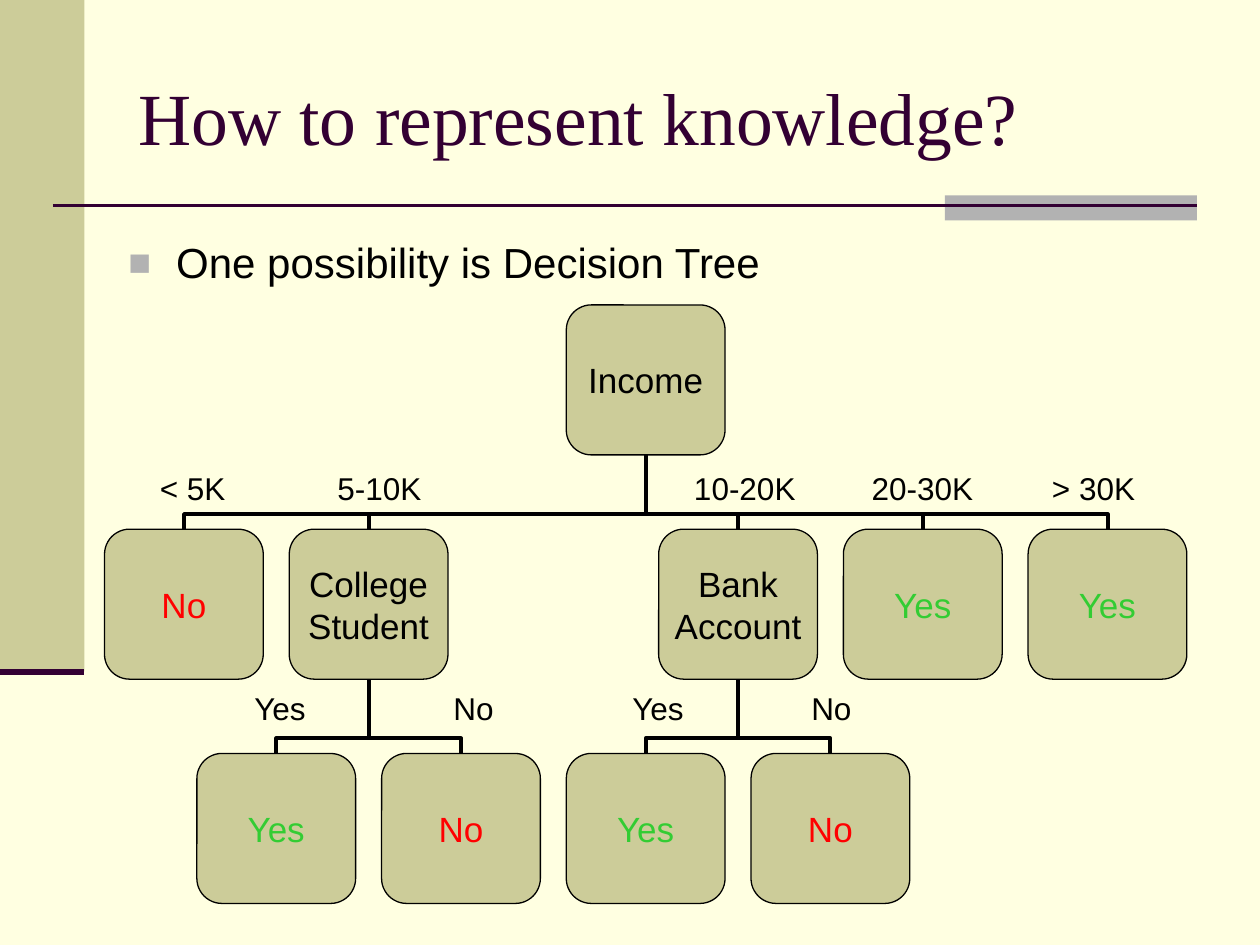
from dataclasses import dataclass
from typing import Any, Optional

import pptx
import pptx.dml.color
import pptx.enum.shapes
import pptx.enum.text
import pptx.oxml
import pptx.oxml.ns
import pptx.util

Inches = pptx.util.Inches
Pt = pptx.util.Pt
RGBColor = pptx.dml.color.RGBColor
KIND = pptx.enum.shapes.MSO_SHAPE
LINK = pptx.enum.shapes.MSO_CONNECTOR
ALIGN = pptx.enum.text.PP_ALIGN
ANCHOR = pptx.enum.text.MSO_ANCHOR
FIT = pptx.enum.text.MSO_AUTO_SIZE

CREAM = RGBColor(0xFF, 0xFF, 0xE1)
KHAKI = RGBColor(0xCC, 0xCC, 0x99)
GRAY = RGBColor(0xB2, 0xB2, 0xB2)
PLUM = RGBColor(0x33, 0x00, 0x33)
BLACK = RGBColor(0x00, 0x00, 0x00)
RED = RGBColor(0xFF, 0x00, 0x00)
GREEN = RGBColor(0x33, 0xCC, 0x33)
ANSWER = {"Yes": GREEN, "No": RED}

# Tree grid, in inches
LEFT, TOP = 0.83, 2.42
RIGHT = 8.16
STEP_X, STEP_Y = (RIGHT - LEFT) / 5, 1.78
NODE_W, NODE_H = 1.26, 1.19
BEND = 20300

NODE_FRAME = {"margin_left": 0, "margin_right": 0, "margin_top": 0, "margin_bottom": 0,
              "word_wrap": False, "vertical_anchor": ANCHOR.MIDDLE}
LABEL_FRAME = {"word_wrap": False, "auto_size": FIT.SHAPE_TO_FIT_TEXT}


@dataclass
class Node:
    text: str
    col: float
    row: int
    root: Optional[int] = None


@dataclass
class Label:
    text: str
    x: float
    y: float
    wide: float


NODES = [
    Node("Income", 2.5, 0),
    Node("No", 0, 1, 0),
    Node("College\nStudent", 1, 1, 0),
    Node("Bank\nAccount", 3, 1, 0),
    Node("Yes", 4, 1, 0),
    Node("Yes", 5, 1, 0),
    Node("Yes", 0.5, 2, 2),
    Node("No", 1.5, 2, 2),
    Node("Yes", 2.5, 2, 3),
    Node("No", 3.5, 2, 3),
]
LABELS = [
    Label("< 5K", 1.17, 3.67, 0.74),
    Label("5-10K", 2.58, 3.67, 0.9),
    Label("10-20K", 5.41, 3.67, 1.04),
    Label("20-30K", 6.82, 3.67, 1.04),
    Label("> 30K", 8.25, 3.67, 0.88),
    Label("Yes", 1.92, 5.42, 0.63),
    Label("No", 3.5, 5.42, 0.52),
    Label("Yes", 4.92, 5.42, 0.63),
    Label("No", 6.34, 5.42, 0.52),
]


def put(item: Any, form: dict) -> None:
    for name, value in form.items():
        setattr(item, name, value)


def write(shape: Any, text: str, size: float, color: RGBColor, frame: dict,
          face: str = "Arial", align: Any = ALIGN.LEFT) -> None:
    body = shape.text_frame
    body.text = text
    put(body, frame)
    for para in body.paragraphs:
        para.alignment = align
        font = para.runs[0].font
        put(font, {"size": Pt(size), "name": face})
        font.color.rgb = color


def add_text(slide: Any, x: float, y: float, w: float, h: float) -> Any:
    return slide.shapes.add_textbox(Inches(x), Inches(y), Inches(w), Inches(h))


def add_box(slide: Any, kind: Any, x: float, y: float, w: float, h: float,
            fill: RGBColor) -> Any:
    box = slide.shapes.add_shape(kind, Inches(x), Inches(y), Inches(w), Inches(h))
    box.shadow.inherit = False
    box.fill.solid()
    box.fill.fore_color.rgb = fill
    box.line.fill.background()
    return box


def add_line(slide: Any, kind: Any, x1: float, y1: float, x2: float, y2: float,
             color: RGBColor, width: float) -> Any:
    line = slide.shapes.add_connector(kind, Inches(x1), Inches(y1), Inches(x2), Inches(y2))
    line.line.color.rgb = color
    line.line.width = Pt(width)
    line._element.spPr.append(pptx.oxml.parse_xml(
        f"<a:effectLst {pptx.oxml.ns.nsdecls('a')}/>"))
    return line


def add_node(slide: Any, node: Node) -> Any:
    box = add_box(slide, KIND.ROUNDED_RECTANGLE, LEFT + node.col * STEP_X,
                  TOP + node.row * STEP_Y, NODE_W, NODE_H, KHAKI)
    box.line.color.rgb = BLACK
    box.line.width = Pt(0.75)
    write(box, node.text, 20, ANSWER.get(node.text, BLACK), NODE_FRAME, align=ALIGN.CENTER)
    return box


def add_branch(slide: Any, child: Any, root: Any) -> None:
    """Join a child's top to its root's bottom with a quarter-turned elbow."""
    x1, y1 = child.left + child.width // 2, child.top
    x2, y2 = root.left + root.width // 2, root.top + root.height
    w, h = y1 - y2, abs(x1 - x2)
    line = add_line(slide, LINK.ELBOW, 0, 0, 1, 1, BLACK, 2.25)
    line.begin_connect(child, 0)
    line.end_connect(root, 2)
    put(line, {"left": (x1 + x2 - w) // 2, "top": (y1 + y2 - h) // 2,
               "width": w, "height": h})
    right = x1 > x2
    turn = {"rot": "16200000" if right else "5400000",
            "flipH": "0" if right else "1", "flipV": "1"}
    for name, value in turn.items():
        line._element.spPr.xfrm.set(name, value)
    bends = line._element.spPr.find(".//" + pptx.oxml.ns.qn("a:avLst"))
    bends.append(pptx.oxml.parse_xml(
        f"<a:gd {pptx.oxml.ns.nsdecls('a')} name='adj1' fmla='val {BEND}'/>"))


def add_bullet(para: Any) -> None:
    para.space_before = Pt(6)
    props = para._p.get_or_add_pPr()
    props.set("marL", str(Inches(0.38)))
    props.set("indent", str(Inches(-0.38)))
    space = pptx.oxml.ns.nsdecls("a")
    for part in (f"<a:buClr {space}><a:srgbClr val='{GRAY}'/></a:buClr>",
                 f"<a:buSzPct {space} val='90000'/>",
                 f"<a:buFont {space} typeface='Arial'/>",
                 f"<a:buChar {space} char='■'/>"):
        props.append(pptx.oxml.parse_xml(part))


def main() -> None:
    deck = pptx.Presentation()
    put(deck, {"slide_width": Inches(10), "slide_height": Inches(7.5)})
    slide = deck.slides.add_slide(deck.slide_layouts[6])
    slide.background.fill.solid()
    slide.background.fill.fore_color.rgb = CREAM

    # Side band and rules
    add_box(slide, KIND.RECTANGLE, 0, 0, 0.67, 5.33, KHAKI)
    add_box(slide, KIND.RECTANGLE, 7.5, 1.55, 2, 0.2, GRAY)
    add_line(slide, LINK.STRAIGHT, 0.42, 1.63, 9.5, 1.63, PLUM, 1.5)
    add_line(slide, LINK.STRAIGHT, 0, 5.33, 0.67, 5.33, PLUM, 3.5)

    # Title and bullet
    title = add_text(slide, 1, 0.3, 8.5, 1.25)
    write(title, "How to represent knowledge?", 42, PLUM,
          {"word_wrap": True, "vertical_anchor": ANCHOR.MIDDLE}, "Times New Roman")
    point = add_text(slide, 0.92, 1.83, 8.25, 0.75)
    write(point, "One possibility is Decision Tree", 24, BLACK, {"word_wrap": True})
    add_bullet(point.text_frame.paragraphs[0])

    # Branch labels
    for label in LABELS:
        box = add_text(slide, label.x, label.y, label.wide, 0.4)
        write(box, label.text, 18, BLACK, LABEL_FRAME)

    # Decision tree
    boxes = [add_node(slide, node) for node in NODES]
    for node, box in zip(NODES, boxes):
        if node.root is not None:
            add_branch(slide, box, boxes[node.root])

    deck.save("out.pptx")


if __name__ == "__main__":
    main()
